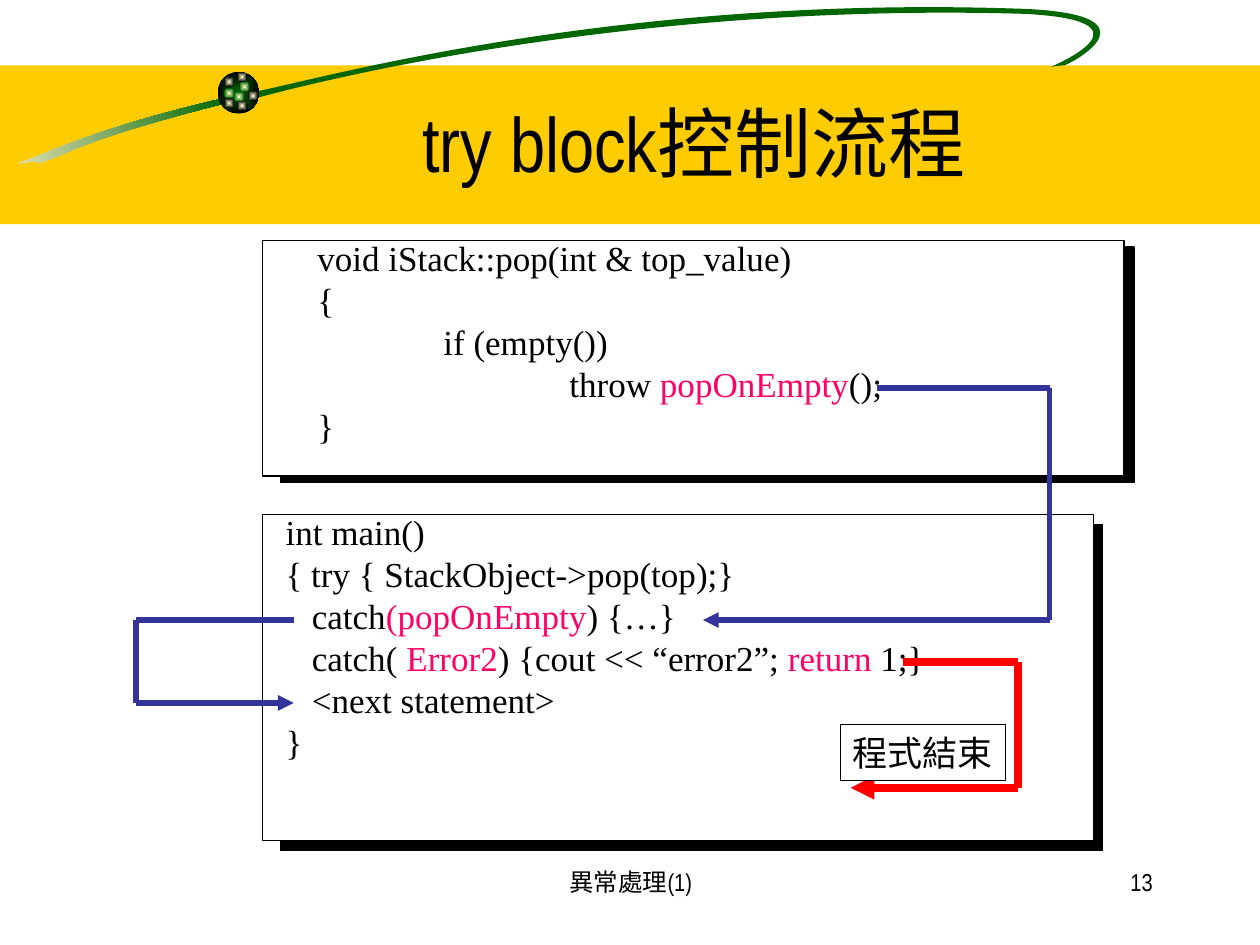
"""Build the slide that shows how control flows out of a try block."""
from itertools import pairwise
from math import cos, radians, sin

from lxml import etree
from pptx import Presentation
from pptx import util as u
from pptx.dml.color import RGBColor
from pptx.enum import shapes, text
from pptx.oxml.ns import qn

COLORS = {
    "band": "FFCC00", "green": "006600", "sand": "F5EBC1", "cream": "FFFFCC",
    "black": "000000", "white": "FFFFFF", "pink": "FF0066",
    "blue": "333399", "red": "FF0000",
}
SERIF = {"name": "Times New Roman", "size": u.Pt(20)}
TITLE = {"name": "Arial Narrow", "size": u.Pt(44)}
FOOTER = {"name": "Arial Narrow", "size": u.Pt(14)}
MARGINS = {"margin_left": u.Cm(0.25), "margin_right": u.Cm(0.25),
           "margin_top": u.Cm(0.13), "margin_bottom": u.Cm(0.13)}
TAB_STEP, TAB_COUNT = 2.54, 7
LEFT, CENTER, RIGHT = (text.PP_ALIGN.LEFT, text.PP_ALIGN.CENTER, text.PP_ALIGN.RIGHT)
RECT, OVAL = shapes.MSO_SHAPE.RECTANGLE, shapes.MSO_SHAPE.OVAL

BAND = (0, 1.32, 25.4, 3.2)
VEIL = (1.88, 5.23, 3.1, 13.82)
TILT = -8.5
TAIL = ((-0.08, 2.31, 4.67, 0.76), (4.52, 1.98), [
    ((2.31, 2.49), (1.24, 2.95), (0.64, 3.2)),
    ((0.03, 3.4), (0.66, 3.2), (0.79, 3.28)),
    ((1.45, 3.1), (1.45, 2.87), (4.55, 2.08)),
    ((4.55, 2.08), (4.52, 1.98), (4.52, 1.98)),
])
LOOP = ((5.11, -0.38, 18.19, 2.77), (5.13, 1.85), [
    ((6.25, 1.65), (12.34, -0.13), (20.68, 0.18)),
    ((23.29, 0.3), (21.77, 1.19), (21.46, 1.32)),
    ((21.46, 1.32), (21.29, 1.32), (21.18, 1.35)),
    ((21.44, 1.24), (23.27, 0.41), (20.65, 0.28)),
    ((13.92, 0.08), (8.13, 1.19), (5.23, 1.96)),
    ((5.23, 1.96), (5.13, 1.85), (5.13, 1.85)),
])
BALL = (4.39, 1.45, 0.84, 0.84)
DOT_SIZE = 0.2
DOTS = [
    (4.83, 1.65, "green"), (4.52, 1.55, "black"), (4.52, 1.78, "green"),
    (4.72, 1.85, "green"), (5, 1.83, "black"), (4.78, 2.03, "black"),
    (4.52, 1.98, "black"), (4.78, 1.45, "black"),
]

CARDS = [
    {
        "shadow": (5.66, 4.98, 17.2, 4.75),
        "face": (5.29, 4.85, 17.37, 4.75),
        "code": (6.15, 4.64, 12.32, 5.33),
        "lines": [
            [("void iStack::pop(int & top_value)", "black")],
            [("{", "black")],
            [("\tif (empty())", "black")],
            [("\t\tthrow", "black"), (" popOnEmpty", "pink"), ("();", "black")],
            [("}", "black")],
        ],
    },
    {
        "shadow": (5.66, 10.57, 16.56, 6.58),
        "face": (5.29, 10.37, 16.76, 6.58),
        "code": (5.51, 10.16, 16.31, 6.2),
        "lines": [
            [("int main()", "black")],
            [("{ try { StackObject->pop(top);}", "black")],
            [("   catch", "black"), ("(popOnEmpty", "pink"), (") {…}", "black")],
            [("   catch( ", "black"), ("Error2", "pink"),
             (") {cout << “error2”; ", "black"), ("return", "pink"), (" 1;}", "black")],
            [("   <next statement>", "black")],
            [("}", "black")],
        ],
    },
]
ROUTES = [
    ("blue", 3, [(17.68, 7.82), (21.16, 7.82), (21.16, 12.5), (14.17, 12.5)]),
    ("blue", 3, [(5.92, 12.5), (2.74, 12.5), (2.74, 14.17), (5.92, 14.17)]),
    ("red", 4.5, [(18.21, 13.34), (20.52, 13.34), (20.52, 15.88), (17.15, 15.88)]),
]
END_LABEL = ("程式結束", (16.94, 14.61, 3.33, 1.12))
CAPTIONS = [
    ("try block控制流程", (3.2, 1.27, 21.59, 3.18), TITLE, CENTER, text.MSO_ANCHOR.MIDDLE),
    ("異常處理(1)", (8.69, 17.35, 8.05, 1.27), FOOTER, CENTER, text.MSO_ANCHOR.TOP),
    ("13", (18.21, 17.35, 5.28, 1.27), FOOTER, RIGHT, text.MSO_ANCHOR.TOP),
]


def rgb(name):
    return RGBColor.from_string(COLORS[name])


def apply(target, values):
    for key, value in values.items():
        setattr(target, key, value)


def paint(shape, fill, outlined=False):
    shape.shadow.inherit = False
    shape.fill.solid()
    shape.fill.fore_color.rgb = rgb(fill)
    if outlined:
        shape.line.color.rgb = rgb("black")
        shape.line.width = u.Pt(0.75)
    else:
        shape.line.fill.background()


def blend(shape, first, last, from_center=False):
    shape.fill.gradient()
    for stop, name in zip(shape.fill.gradient_stops, (first, last)):
        stop.color.rgb = rgb(name)
    shape.fill.gradient_angle = 0
    if from_center:
        linear = shape._element.spPr.find(".//" + qn("a:lin"))
        radial = etree.Element(qn("a:path"), path="rect")
        etree.SubElement(radial, qn("a:fillToRect"), dict.fromkeys("ltrb", "50000"))
        linear.getparent().replace(linear, radial)


def add_block(page, kind, frame, fill, outlined=False):
    shape = page.shapes.add_shape(kind, *map(u.Cm, frame))
    paint(shape, fill, outlined)
    return shape


def add_swoosh(page, frame, start, curves):
    x, y, w, h = frame
    builder = page.shapes.build_freeform(u.Cm(x), u.Cm(y))
    corners = [(x + w, y), (x + w, y + h), (x, y + h)]
    builder.add_line_segments([tuple(map(u.Cm, corner)) for corner in corners])
    shape = builder.convert_to_shape()
    outline = shape._element.spPr.find(".//" + qn("a:path"))
    for step in list(outline):
        outline.remove(step)
    c, s = cos(radians(TILT)), sin(radians(TILT))
    for tag, points in [("a:moveTo", [start])] + [("a:cubicBezTo", p) for p in curves]:
        step = etree.SubElement(outline, qn(tag))
        for px, py in points:
            dx, dy = px - x - w / 2, py - y - h / 2
            etree.SubElement(step, qn("a:pt"), x=str(u.Cm(w / 2 + dx * c + dy * s)),
                             y=str(u.Cm(h / 2 - dx * s + dy * c)))
    etree.SubElement(outline, qn("a:close"))
    shape.rotation = TILT
    paint(shape, "green")
    return shape


def add_tabs(para):
    tabs = etree.SubElement(para._p.get_or_add_pPr(), qn("a:tabLst"))
    for number in range(1, TAB_COUNT + 1):
        etree.SubElement(tabs, qn("a:tab"), pos=str(u.Cm(number * TAB_STEP)), algn="l")


def write(shape, lines, font, align=LEFT, anchor=text.MSO_ANCHOR.TOP, wrap=True, pitch=None):
    box = shape.text_frame
    apply(box, MARGINS | {"word_wrap": wrap, "vertical_anchor": anchor})
    for index, line in enumerate(lines):
        para = box.add_paragraph() if index else box.paragraphs[0]
        add_tabs(para)
        apply(para, {"alignment": align, "line_spacing": pitch})
        for words, color in line:
            span = para.add_run()
            span.text = words
            apply(span.font, font)
            span.font.color.rgb = rgb(color)


def add_route(page, color, width, points):
    for start, end in pairwise(points):
        line = page.shapes.add_connector(
            shapes.MSO_CONNECTOR.STRAIGHT, *map(u.Cm, start + end))
        line.line.color.rgb = rgb(color)
        line.line.width = u.Pt(width)
        frame = line._element.spPr
        if end == points[-1]:
            etree.SubElement(frame.find(qn("a:ln")), qn("a:tailEnd"), type="triangle")
        etree.SubElement(frame, qn("a:effectLst"))


def main():
    deck = Presentation()
    deck.slide_width, deck.slide_height = u.Cm(25.4), u.Cm(19.05)
    page = deck.slides.add_slide(deck.slide_layouts[6])

    add_block(page, RECT, BAND, "band")
    blend(add_swoosh(page, *TAIL), "sand", "green")
    add_swoosh(page, *LOOP)
    blend(add_block(page, OVAL, BALL, "green"), "green", "black", True)
    for x, y, edge in DOTS:
        dot = add_block(page, OVAL, (x, y, DOT_SIZE, DOT_SIZE), edge)
        blend(dot, "cream", edge, True)
    veil = add_block(page, RECT, VEIL, "white")
    tint = veil._element.spPr.find(".//" + qn("a:srgbClr"))
    etree.SubElement(tint, qn("a:alpha"), val="50000")

    for card in CARDS:
        add_block(page, RECT, card["shadow"], "black", True)
        add_block(page, RECT, card["face"], "white", True)
        code = page.shapes.add_textbox(*map(u.Cm, card["code"]))
        write(code, card["lines"], SERIF, pitch=u.Pt(24))
    for route in ROUTES:
        add_route(page, *route)

    words, frame = END_LABEL
    label = add_block(page, RECT, frame, "white", True)
    write(label, [[(words, "black")]], SERIF, wrap=False)
    for words, frame, font, align, anchor in CAPTIONS:
        caption = page.shapes.add_textbox(*map(u.Cm, frame))
        write(caption, [[(words, "black")]], font, align, anchor)
    deck.save("out.pptx")


if __name__ == "__main__":
    main()
